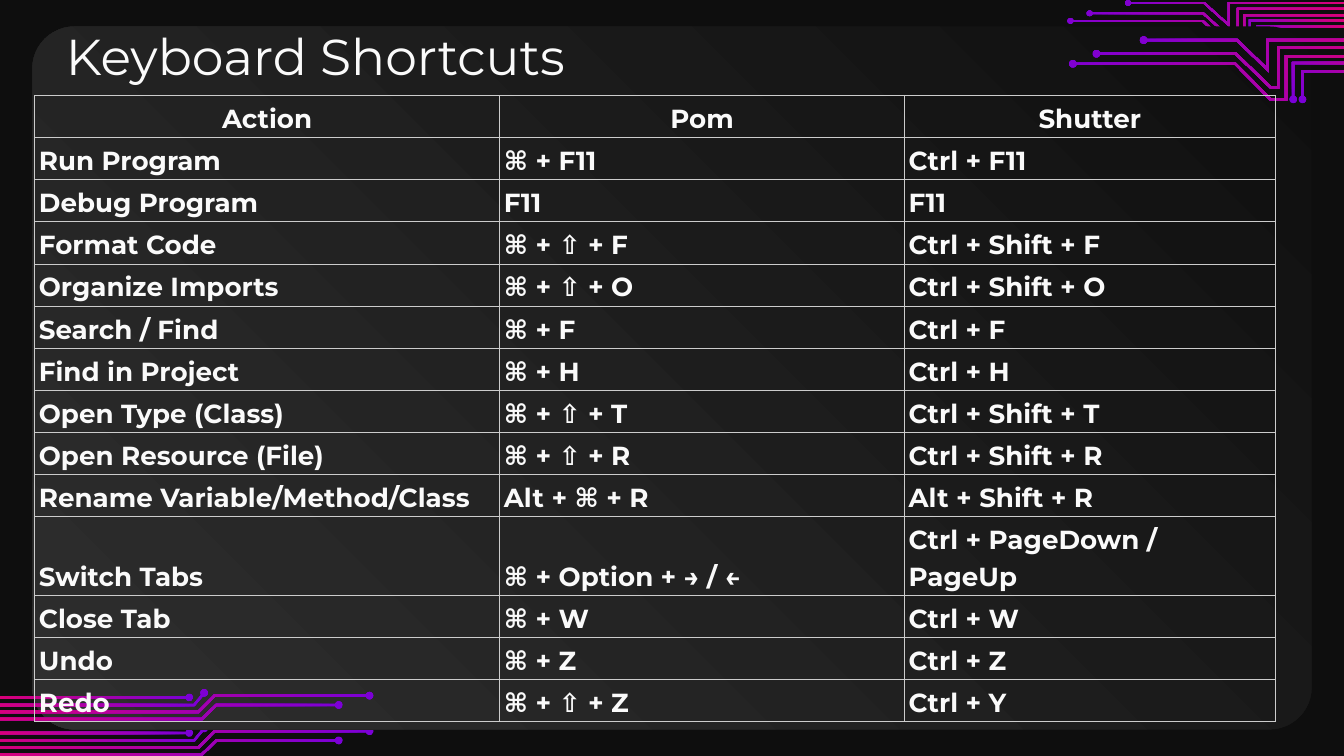
import math

import lxml.etree
import pptx
import pptx.dml.color
import pptx.enum.shapes
import pptx.enum.text
import pptx.oxml.ns
import pptx.util

Pt = pptx.util.Pt
COLORS = {
    "background": "0E0E0E",
    "panel_dark": "0F0F0F",
    "panel_light": "2E2E2E",
    "purple": "7800DA",
    "pink": "DA0078",
    "text": "FAFAFA",
    "border": "CCCCCC",
}

# Circuit traces: each route starts at its dot.
TOP_ROUTES = [
    [(697.7, 53.3), (697.7, 38.2), (754.6, 38.2)],
    [(692.8, 53.3), (692.8, 33.8), (754.6, 33.8)],
    [(612.7, 21.5), (662.7, 21.5), (679, 37.2), (679, 21.5), (754.6, 21.5)],
    [(574.8, 34.2), (661.8, 34.2), (680.6, 53.2), (689, 53.2), (689, 30.2), (754.6, 30.2)],
    [(587.4, 28.8), (662, 28.8), (680.8, 46.9), (684.8, 46.9), (684.8, 25.6), (754.6, 25.6)],
]
BOTTOM_ROUTES = [
    [(181.5, 377.7), (115.9, 377.7), (108.2, 385.2), (0, 385.2)],
    [(109.4, 371.2), (104, 377.7), (0, 377.7)],
    [(101.5, 373.7), (0, 373.7)],
    [(198, 372.7), (115, 372.7), (106.4, 381.4), (0, 381.4)],
]
BOTTOM_OFFSET = 19
SMALL_SCALE_X, SMALL_SCALE_Y = 163 / 200, 0.76

SHORTCUTS = [
    ("Action", "Pom", "Shutter"),
    ("Run Program", "⌘ + F11", "Ctrl + F11"),
    ("Debug Program", "F11", "F11"),
    ("Format Code", "⌘ + ⇧ + F", "Ctrl + Shift + F"),
    ("Organize Imports", "⌘ + ⇧ + O", "Ctrl + Shift + O"),
    ("Search / Find", "⌘ + F", "Ctrl + F"),
    ("Find in Project", "⌘ + H", "Ctrl + H"),
    ("Open Type (Class)", "⌘ + ⇧ + T", "Ctrl + Shift + T"),
    ("Open Resource (File)", "⌘ + ⇧ + R", "Ctrl + Shift + R"),
    ("Rename Variable/Method/Class", "Alt + ⌘ + R", "Alt + Shift + R"),
    ("Switch Tabs", "⌘ + Option + → / ←", "Ctrl + PageDown / PageUp"),
    ("Close Tab", "⌘ + W", "Ctrl + W"),
    ("Undo", "⌘ + Z", "Ctrl + Z"),
    ("Redo", "⌘ + ⇧ + Z", "Ctrl + Y"),
]


def rgb(name):
    return pptx.dml.color.RGBColor.from_string(COLORS[name])


def trace_outline(route, half_width=0.65, radius=2, arc_steps=16):
    """Return the outline of a mitred line that starts with a round dot."""
    headings = [math.atan2(y2 - y1, x2 - x1) for (x1, y1), (x2, y2) in zip(route, route[1:])]
    gap = math.asin(half_width / radius)
    sweep = 2 * (math.pi - gap)
    center_x, center_y = route[0]
    angles = [headings[0] + gap + sweep * step / arc_steps for step in range(arc_steps + 1)]
    dot = [(center_x + radius * math.cos(a), center_y + radius * math.sin(a)) for a in angles]

    sides = {-1: [], 1: []}
    for (x, y), before, after in zip(route[1:], headings, headings[1:] + headings[-1:]):
        mitre = half_width / (1 + math.cos(after - before))
        shift_x = -mitre * (math.sin(before) + math.sin(after))
        shift_y = mitre * (math.cos(before) + math.cos(after))
        for side, points in sides.items():
            points.append((x + side * shift_x, y + side * shift_y))
    return dot + sides[-1] + sides[1][::-1]


class SlideBuilder:
    font = "Montserrat"

    def __init__(self, presentation):
        self.slide = presentation.slides.add_slide(presentation.slide_layouts[5])
        fill = self.slide.background.fill
        fill.solid()
        fill.fore_color.rgb = rgb("background")

    def style_text(self, paragraph, size, bold=False):
        paragraph.font.name = self.font
        paragraph.font.size = Pt(size)
        paragraph.font.bold = bold
        paragraph.font.color.rgb = rgb("text")

    def paint_gradient(self, shape, start, end, angle):
        shape.shadow.inherit = False
        shape.line.fill.background()
        shape.fill.gradient()
        shape.fill.gradient_angle = angle
        for stop, color, position in zip(shape.fill.gradient_stops, (start, end), (0, 1)):
            stop.color.rgb = rgb(color)
            stop.position = position

    def add_traces(self, routes, angle, scale=(1, 1), offset=(0, 0)):
        for route in routes:
            points = [
                (Pt(x * scale[0] + offset[0]), Pt(y * scale[1] + offset[1]))
                for x, y in trace_outline(route)
            ]
            builder = self.slide.shapes.build_freeform(*points[0])
            builder.add_line_segments(points[1:], close=True)
            self.paint_gradient(builder.convert_to_shape(), "purple", "pink", angle)

    def add_panel(self, left, top, width, height):
        panel = self.slide.shapes.add_shape(
            pptx.enum.shapes.MSO_SHAPE.ROUNDED_RECTANGLE,
            Pt(left), Pt(top), Pt(width), Pt(height),
        )
        panel.adjustments[0] = 0.06
        self.paint_gradient(panel, "panel_dark", "panel_light", 225)

    def add_title(self, text, left, top, width, height):
        title = self.slide.shapes.title
        title.left, title.top, title.width, title.height = map(Pt, (left, top, width, height))
        frame = title.text_frame
        frame.text = text
        frame.word_wrap = True
        frame.auto_size = pptx.enum.text.MSO_AUTO_SIZE.NONE
        frame.vertical_anchor = pptx.enum.text.MSO_ANCHOR.TOP
        frame.margin_left = frame.margin_right = Pt(7.2)
        frame.margin_top = frame.margin_bottom = Pt(7.2)
        paragraph = frame.paragraphs[0]
        paragraph.alignment = pptx.enum.text.PP_ALIGN.LEFT
        self.style_text(paragraph, 27)
        # The placeholder is created first; bring it in front of the panel.
        title.element.getparent().append(title.element)

    def add_borders(self, cell, width=0.6):
        qn = pptx.oxml.ns.qn
        properties = cell._tc.get_or_add_tcPr()
        for index, side in enumerate(("lnL", "lnR", "lnT", "lnB")):
            line = lxml.etree.Element(qn(f"a:{side}"), w=str(Pt(width)))
            fill = lxml.etree.SubElement(line, qn("a:solidFill"))
            lxml.etree.SubElement(fill, qn("a:srgbClr"), val=COLORS["border"])
            properties.insert(index, line)

    def add_table(self, rows, left, top, column_widths, row_height):
        table = self.slide.shapes.add_table(
            len(rows), len(column_widths), Pt(left), Pt(top),
            Pt(sum(column_widths)), Pt(row_height * len(rows)),
        ).table
        table.first_row = table.horz_banding = False
        for column, width in zip(table.columns, column_widths):
            column.width = Pt(width)
        for row_index, texts in enumerate(rows):
            table.rows[row_index].height = Pt(row_height)
            for column_index, text in enumerate(texts):
                cell = table.cell(row_index, column_index)
                cell.text = text
                cell.fill.background()
                cell.vertical_anchor = pptx.enum.text.MSO_ANCHOR.BOTTOM
                cell.margin_left = cell.margin_right = Pt(2.25)
                cell.margin_top = cell.margin_bottom = Pt(1.5)
                paragraph = cell.text_frame.paragraphs[0]
                paragraph.line_spacing = 1.15
                if row_index == 0:
                    paragraph.alignment = pptx.enum.text.PP_ALIGN.CENTER
                self.style_text(paragraph, 14, bold=True)
                self.add_borders(cell)


def main():
    presentation = pptx.Presentation()
    presentation.slide_width, presentation.slide_height = Pt(720), Pt(405)
    builder = SlideBuilder(presentation)
    builder.add_traces(
        TOP_ROUTES, 45,
        scale=(SMALL_SCALE_X, SMALL_SCALE_Y),
        offset=(720 - 754.6 * SMALL_SCALE_X, -19.4 * SMALL_SCALE_Y),
    )
    builder.add_traces(BOTTOM_ROUTES, 135, offset=(0, BOTTOM_OFFSET))
    builder.add_panel(17.3, 14.2, 685.4, 376.6)
    builder.add_traces(BOTTOM_ROUTES, 135)
    builder.add_traces(TOP_ROUTES, 45)
    builder.add_title("Keyboard Shortcuts", 28.1, 6.5, 429, 45.4)
    builder.add_table(SHORTCUTS, 18.6, 51.2, (249.1, 216.8, 198.8), 21)
    presentation.save("out.pptx")


if __name__ == "__main__":
    main()
